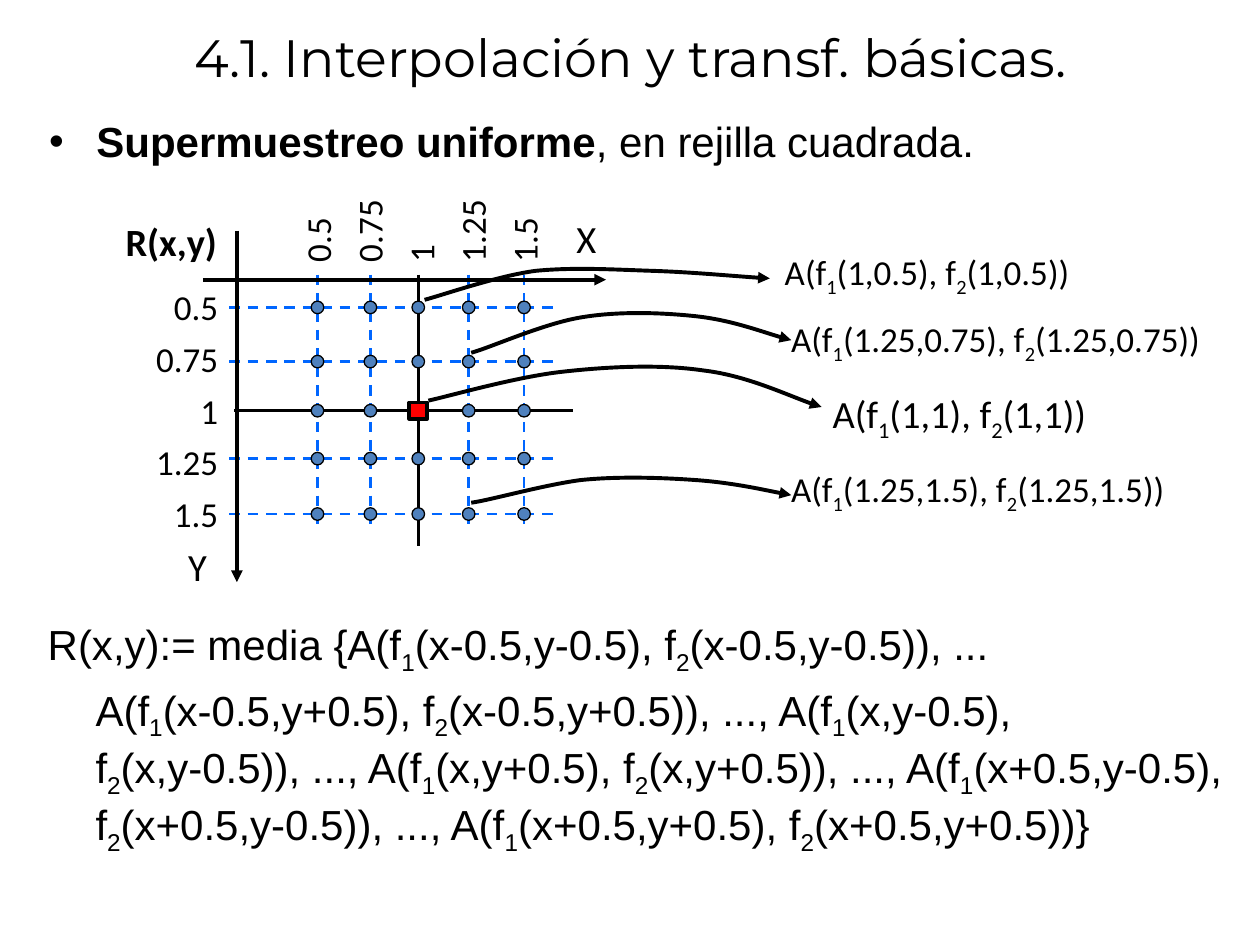
from typing import NamedTuple

from lxml.etree import SubElement as Sub
from pptx import Presentation
from pptx.dml.color import RGBColor
from pptx.enum.dml import MSO_LINE as Dash
from pptx.enum.shapes import MSO_CONNECTOR as Conn, MSO_SHAPE as Shape
from pptx.enum.text import MSO_ANCHOR as Anchor, PP_ALIGN as Align
from pptx.oxml.ns import qn
from pptx.util import Inches, Pt

BLACK, BLUE, DOT, RED = "000000", "0066FF", "4F81BD", "FF0000"
COLS = [2.52, 2.94, 3.32, 3.72, 4.16]
ROWS = [2.44, 2.87, 3.26, 3.64, 4.08]
STEPS = ["0.5", "0.75", "1", "1.25", "1.5"]
MID = 2
PITCH = 0.41


class Label(NamedTuple):
    text: str
    left: float
    top: float
    width: float
    height: float = 0.43
    size: float = 20
    align: Align = Align.RIGHT
    turn: float = 0
    bold: bool = False


class Curve(NamedTuple):
    """Start point followed by three control points per Bézier piece."""
    points: list


LABELS = [
    Label("R(x,y)", 0.61, 1.68, 1.21, 0.47, 22, bold=True),
    Label("X", 4.45, 1.66, 0.38, 0.47, 22),
    Label("Y", 1.36, 4.26, 0.38, 0.47, 22),
    Label("A(f_1(1,1), f_2(1,1))", 6.51, 3.05, 3.16, 0.47, 22, Align.LEFT),
    Label("A(f_1(1.25,0.75), f_2(1.25,0.75))", 6.18, 2.47, 3.82, align=Align.LEFT),
    Label("A(f_1(1,0.5), f_2(1,0.5))", 6.13, 1.94, 2.94, align=Align.LEFT),
    Label("A(f_1(1.25,1.5), f_2(1.25,1.5))", 6.18, 3.66, 3.53, align=Align.LEFT),
]
for i, step in enumerate(STEPS):
    LABELS.append(Label(step, 1.08, 2.22 + PITCH * i, 0.75))
    LABELS.append(Label(step, 2.14 + PITCH * i, 1.59, 0.75, align=Align.LEFT, turn=270))

CURVES = [
    Curve([(3.4, 3.18), (3.58, 3.14), (4.1, 2.99), (4.47, 2.95), (4.83, 2.91),
           (5.24, 2.89), (5.58, 2.94), (5.92, 2.98), (6.32, 3.17), (6.52, 3.23)]),
    Curve([(3.74, 2.8), (3.89, 2.76), (4.31, 2.57), (4.61, 2.52), (4.9, 2.47),
           (5.24, 2.48), (5.52, 2.51), (5.8, 2.54), (6.12, 2.66), (6.28, 2.7)]),
    Curve([(3.37, 2.38), (3.52, 2.34), (3.95, 2.19), (4.25, 2.15), (4.56, 2.12),
           (4.87, 2.14), (5.18, 2.15), (5.49, 2.16), (5.91, 2.2), (6.11, 2.21)]),
    Curve([(3.74, 3.99), (3.89, 3.97), (4.31, 3.85), (4.61, 3.81), (4.9, 3.78),
           (5.24, 3.79), (5.52, 3.81), (5.8, 3.83), (6.12, 3.9), (6.28, 3.93)]),
]

FORMULA = [
    "R(x,y):= media {A(f_1(x-0.5,y-0.5), f_2(x-0.5,y-0.5)), ...",
    "A(f_1(x-0.5,y+0.5), f_2(x-0.5,y+0.5)), ..., A(f_1(x,y-0.5), f_2(x,y-0.5)), ..., "
    "A(f_1(x,y+0.5), f_2(x,y+0.5)), ..., A(f_1(x+0.5,y-0.5), f_2(x+0.5,y-0.5)), ..., "
    "A(f_1(x+0.5,y+0.5), f_2(x+0.5,y+0.5))}",
]


def rgb(code: str) -> RGBColor:
    return RGBColor.from_string(code)


def place(shape, left: float, top: float, width: float, height: float) -> None:
    box = {"left": left, "top": top, "width": width, "height": height}
    for name, value in box.items():
        setattr(shape, name, Inches(value))


def write(para, text: str, face: str, size: float, bold: bool = False) -> None:
    """Add runs to a paragraph; the digit after each underscore is a subscript."""
    first, *rest = text.split("_")
    parts = [(first, False)]
    for piece in rest:
        parts += [(piece[0], True), (piece[1:], False)]
    for part, low in parts:
        run = para.add_run()
        run.text = part
        for name, value in {"name": face, "size": Pt(size), "bold": bold}.items():
            setattr(run.font, name, value)
        run.font.color.rgb = rgb(BLACK)
        if low:
            run.font._element.set("baseline", "-25000")


def add_label(shapes, item: Label) -> None:
    box = shapes.add_textbox(0, 0, 0, 0)
    place(box, item.left, item.top, item.width, item.height)
    box.rotation = item.turn
    box.text_frame.word_wrap = True
    para = box.text_frame.paragraphs[0]
    para.alignment = item.align
    write(para, item.text, "Calibri", item.size, item.bold)


def stroke(shape, color: str, width: float) -> None:
    shape.line.color.rgb = rgb(color)
    shape.line.width = Pt(width)


def add_head(shape) -> None:
    Sub(shape.line._get_or_add_ln(), qn("a:tailEnd"), type="triangle")


def add_line(shapes, x1: float, y1: float, x2: float, y2: float, color: str = BLACK,
             width: float = 1.5, head: bool = False) -> None:
    line = shapes.add_connector(Conn.STRAIGHT, *map(Inches, (x1, y1, x2, y2)))
    stroke(line, color, width)
    if color == BLUE:
        line.line.dash_style = Dash.DASH
    if head:
        add_head(line)
    Sub(line._element.spPr, qn("a:effectLst"))


def add_mark(shapes, kind: Shape, x: float, y: float, width: float, height: float,
             fill: str, border: float) -> None:
    """Draw a small filled shape centred on (x, y)."""
    box = (x - width / 2, y - height / 2, width, height)
    mark = shapes.add_shape(kind, *map(Inches, box))
    mark.shadow.inherit = False
    mark.fill.solid()
    mark.fill.fore_color.rgb = rgb(fill)
    stroke(mark, BLACK, border)


def add_curve(shapes, item: Curve) -> None:
    start, *rest = [(Inches(x), Inches(y)) for x, y in item.points]
    form = shapes.build_freeform(*start)
    form.add_line_segments(rest, close=False)
    curve = form.convert_to_shape()
    curve.shadow.inherit = False
    curve.fill.background()
    stroke(curve, BLACK, 2.25)
    add_head(curve)
    legs = list(curve._element.iter(qn("a:lnTo")))
    track = legs[0].getparent()
    for i in range(0, len(legs), 3):
        bend = Sub(track, qn("a:cubicBezTo"))
        for leg in legs[i:i + 3]:
            bend.append(leg[0])
            track.remove(leg)


def add_grid(shapes) -> None:
    for i, (x, y) in enumerate(zip(COLS, ROWS)):
        if i == MID:
            add_line(shapes, x, 2.18, x, 4.33)
            add_line(shapes, 1.86, y, 4.55, y)
        else:
            add_line(shapes, x, 2.18, x, 4.2, BLUE)
            add_line(shapes, 1.82, y, 4.44, y, BLUE)
    add_line(shapes, 1.61, 2.22, 4.81, 2.22, width=2.25, head=True)
    add_line(shapes, 1.88, 1.83, 1.88, 4.62, width=2.25, head=True)
    for y in ROWS:
        for x in COLS:
            if (x, y) == (COLS[MID], ROWS[MID]):
                add_mark(shapes, Shape.RECTANGLE, x, y, 0.14, 0.13, RED, 2.25)
            else:
                add_mark(shapes, Shape.OVAL, x, y, 0.1, 0.1, DOT, 0.75)


def main() -> None:
    deck = Presentation()
    deck.slide_width, deck.slide_height = Inches(10), Inches(7.5)
    slide = deck.slides.add_slide(deck.slide_layouts[1])
    shapes = slide.shapes

    place(shapes.title, 0.2, 0, 9.61, 0.89)
    shapes.title.text_frame.vertical_anchor = Anchor.MIDDLE
    write(shapes.title.text_frame.paragraphs[0],
          "4.1. Interpolación y transf. básicas.", "Montserrat", 30)

    body = slide.placeholders[1]
    place(body, 0.29, 0.87, 9.44, 0.65)
    para = body.text_frame.paragraphs[0]
    para.space_before = Pt(0)
    write(para, "Supermuestreo uniforme", "Arial", 24, True)
    write(para, ", en rejilla cuadrada.", "Arial", 24)

    add_grid(shapes)
    for curve in CURVES:
        add_curve(shapes, curve)
    for label in LABELS:
        add_label(shapes, label)

    box = shapes.add_textbox(0, 0, 0, 0)
    place(box, 0.28, 4.86, 9.72, 1.96)
    frame = box.text_frame
    frame.word_wrap = True
    write(frame.paragraphs[0], FORMULA[0], "Arial", 24)
    para = frame.add_paragraph()
    para.space_before = Pt(4.8)
    para._p.get_or_add_pPr().set("marL", str(Inches(0.38)))
    write(para, FORMULA[1], "Arial", 24)
    deck.save("out.pptx")


if __name__ == "__main__":
    main()
